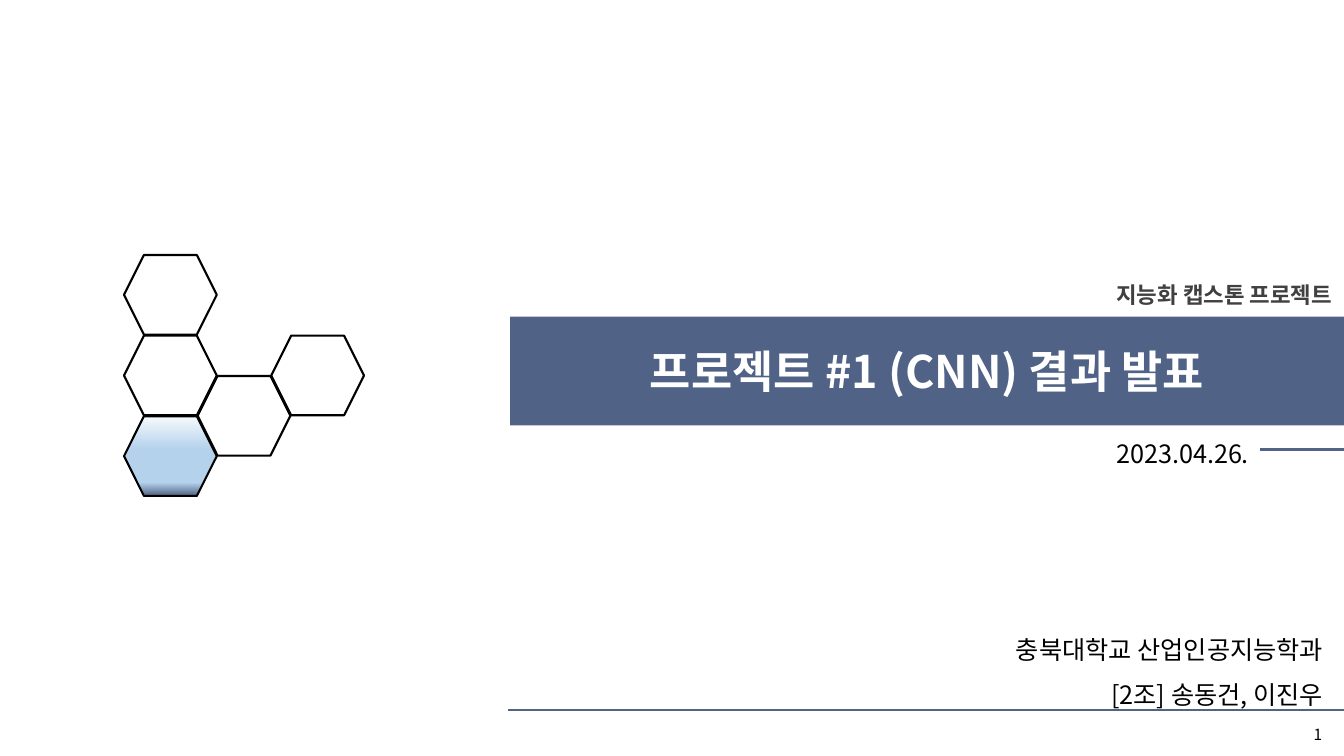
import pptx
import pptx.dml.color
import pptx.enum.shapes
import pptx.enum.text
import pptx.oxml
import pptx.oxml.ns
import pptx.util
from lxml import etree

Inches = pptx.util.Inches
Pt = pptx.util.Pt
Shapes = pptx.enum.shapes.MSO_SHAPE
Align = pptx.enum.text.PP_ALIGN
Anchor = pptx.enum.text.MSO_ANCHOR
qn = pptx.oxml.ns.qn

FONT = "Noto Sans CJK KR"
NAVY = "203864"
SLATE = "516486"
BLACK = "000000"


def color(hex_code):
    return pptx.dml.color.RGBColor.from_string(hex_code)


def write(frame, text, size=18, hex_code=BLACK, bold=False, align=Align.LEFT,
          anchor=Anchor.TOP, spacing=None, wrap=True):
    frame.word_wrap = wrap
    frame.vertical_anchor = anchor
    for index, line in enumerate(text.split("\n")):
        paragraph = frame.paragraphs[0] if index == 0 else frame.add_paragraph()
        paragraph.alignment = align
        paragraph.line_spacing = spacing
        run = paragraph.add_run()
        run.text = line
        run.font.name = FONT
        run.font.size = Pt(size)
        run.font.bold = bold
        run.font.color.rgb = color(hex_code)
        # Korean glyphs take the East Asian typeface
        etree.SubElement(run.font._element, qn("a:ea"), typeface=FONT)


def add_text(slide, box, text, **text_format):
    textbox = slide.shapes.add_textbox(*map(Inches, box))
    write(textbox.text_frame, text, **text_format)


def add_rule(slide, left, right, y, width):
    rule = slide.shapes.add_connector(
        pptx.enum.shapes.MSO_CONNECTOR.STRAIGHT,
        Inches(left), Inches(y), Inches(right), Inches(y))
    rule.line.color.rgb = color(SLATE)
    rule.line.width = Pt(width)
    etree.SubElement(rule._element.spPr, qn("a:effectLst"))


def fill_gradient(shape, stops):
    shape.fill.gradient()
    shape.fill.gradient_angle = 270  # counter-clockwise: top to bottom
    stop_list = shape._element.spPr.find(".//" + qn("a:gsLst"))
    for old_stop in list(stop_list):
        stop_list.remove(old_stop)
    for percent, hex_code in stops:
        stop = etree.SubElement(stop_list, qn("a:gs"), pos=str(percent * 1000))
        etree.SubElement(stop, qn("a:srgbClr"), val=hex_code)


def add_honeycomb(slide, left, top):
    column_step, half_row = 0.73, 0.4
    # Column, half rows down, filled
    cells = [(0, 0, False), (0, 2, False), (0, 4, True), (1, 3, False), (2, 2, False)]
    for column, row, filled in cells:
        cell = slide.shapes.add_shape(
            Shapes.HEXAGON, Inches(left + column * column_step),
            Inches(top + row * half_row), Inches(0.92), Inches(0.79))
        cell.shadow.inherit = False
        cell.line.color.rgb = color(BLACK)
        cell.line.width = Pt(1.5)
        if filled:
            fill_gradient(cell, [(0, "F7FAFD"), (41, "B5D2EC"), (83, "B5D2EC"), (100, SLATE)])
        else:
            cell.fill.background()


def add_title_band(slide, left, top, width, height):
    # Course name above the band
    add_text(slide, (left + 0.58, top - 0.4, width - 0.6, 0.37), "지능화 캡스톤 프로젝트",
             size=16, hex_code="404040", bold=True, align=Align.RIGHT)
    # Translucent band with the title
    band = slide.shapes.add_shape(Shapes.RECTANGLE, *map(Inches, (left, top, width, height)))
    band.shadow.inherit = False
    band.fill.solid()
    band.fill.fore_color.rgb = color(NAVY)
    band_color = band._element.spPr.find(".//" + qn("a:srgbClr"))
    etree.SubElement(band_color, qn("a:alpha"), val="78000")
    band.line.fill.background()
    write(band.text_frame, "프로젝트 #1 (CNN) 결과 발표", size=32, hex_code="FFFFFF",
          bold=True, align=Align.CENTER, anchor=Anchor.MIDDLE)
    # Date and its rule below the band
    add_text(slide, (left + 5.8, top + 1.03, 1.74, 0.51), "2023.04.26.",
             align=Align.CENTER, anchor=Anchor.MIDDLE, spacing=1.5)
    add_rule(slide, left + 7.44, left + width, top + 1.32, 2)


def add_footer(slide, left, top, width):
    add_text(slide, (left + width - 3.77, top, 3.66, 0.95),
             "충북대학교 산업인공지능학과\n[2조] 송동건, 이진우", align=Align.RIGHT, spacing=1.5)
    add_rule(slide, left, left + width, top + 0.95, 1.5)
    add_text(slide, (left + width - 0.4, top + 1.05, 0.29, 0.29), "1", size=11, wrap=False)


def main():
    deck = pptx.Presentation()
    deck.slide_width = Inches(13.33)
    deck.slide_height = Inches(7.5)
    slide = deck.slides.add_slide(deck.slide_layouts[6])
    add_honeycomb(slide, 1.23, 2.53)
    add_title_band(slide, 5.06, 3.14, 8.27, 1.08)
    add_footer(slide, 5.04, 6.09, 8.29)
    deck.save("out.pptx")


if __name__ == "__main__":
    main()
